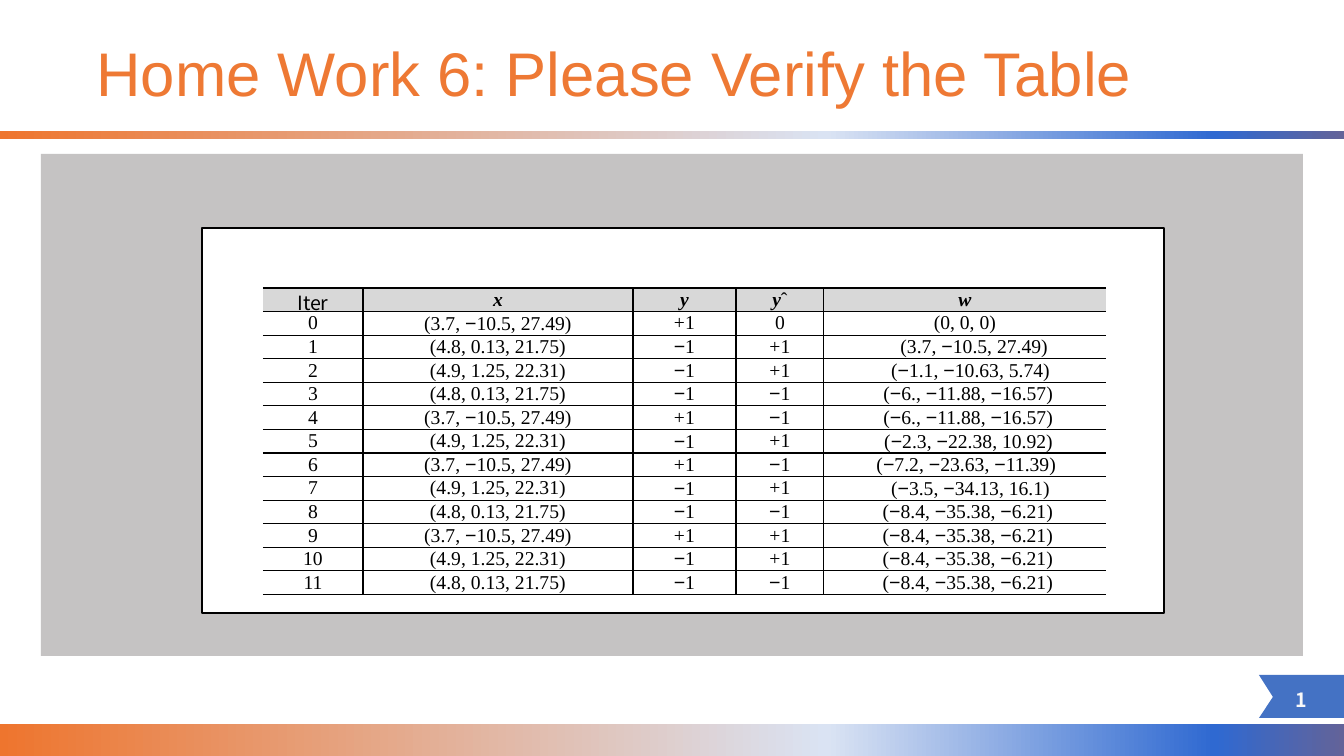
import itertools

import lxml.etree
import pptx
import pptx.dml.color
import pptx.enum.shapes
import pptx.enum.text
import pptx.oxml.ns
import pptx.util

PX = 12192000 / 1344
ALIGN = pptx.enum.text.PP_ALIGN
MIDDLE = pptx.enum.text.MSO_ANCHOR.MIDDLE
qn = pptx.oxml.ns.qn


def px(n):
    return pptx.util.Emu(round(n * PX))


def rgb(value):
    return pptx.dml.color.RGBColor.from_string(value)


class Deck:
    ORANGE, BLACK, HEADER, FLAG = "EE7934", "000000", "D8D8D8", "4472C4"
    SANS, SERIF, CJK = "Arial", "Times New Roman", "Noto Sans CJK SC"

    def __init__(self):
        self.prs = pptx.Presentation()
        self.prs.slide_width, self.prs.slide_height = px(1344), px(756)
        self.slide = self.prs.slides.add_slide(self.prs.slide_layouts[5])

    def run(self, p, text, color, **font):
        r = p.add_run()
        r.text = text
        r.font.color.rgb = rgb(color)
        for name, value in font.items():
            setattr(r.font, name, value)

    def title(self, box, text):
        s = self.slide.shapes.title
        s.left, s.top, s.width, s.height = map(px, box)
        s.text_frame.vertical_anchor = MIDDLE
        p = s.text_frame.paragraphs[0]
        p.alignment, p.line_spacing = ALIGN.CENTER, 0.9
        self.run(p, text, self.ORANGE, name=self.SANS, size=pptx.util.Pt(44))

    def rect(self, box, fill=None, line=None):
        s = self.slide.shapes.add_shape(
            pptx.enum.shapes.MSO_SHAPE.RECTANGLE, *map(px, box))
        s.shadow.inherit = False
        if fill:
            s.fill.solid()
            s.fill.fore_color.rgb = rgb(fill)
        if line:
            s.line.color.rgb = rgb(line)
            s.line.width = pptx.util.Pt(1)
        else:
            s.line.fill.background()
        return s

    def gradient(self, box, stops):
        s = self.rect(box)
        s.fill.gradient()
        s.fill.gradient_angle = 180
        gs_list = s.element.find(".//" + qn("a:gsLst"))
        for gs in list(gs_list):
            gs_list.remove(gs)
        for pos, color in stops:
            gs = lxml.etree.SubElement(gs_list, qn("a:gs"), pos=str(pos * 1000))
            lxml.etree.SubElement(gs, qn("a:srgbClr"), val=color)

    def stripe(self, top, height):
        self.gradient((0, top, 827, height), [(0, "DAE3F3"), (100, "EE752E")])
        self.gradient((827, top, 517, height),
                      [(0, "636399"), (25, "2F69D1"), (100, "DAE3F3")])

    def outline(self, points, fill):
        builder = self.slide.shapes.build_freeform(*points[0], scale=PX)
        builder.add_line_segments(points[1:], close=True)
        s = builder.convert_to_shape()
        s.shadow.inherit = False
        s.fill.solid()
        s.fill.fore_color.rgb = rgb(fill)
        s.line.fill.background()

    def text(self, box, text, color, **font):
        tf = self.slide.shapes.add_textbox(*map(px, box)).text_frame
        tf.word_wrap = True
        p = tf.paragraphs[0]
        p.alignment = ALIGN.CENTER
        self.run(p, text, color, **font)

    def borders(self, cell, hidden):
        tc_pr = cell._tc.get_or_add_tcPr()
        for side in ("lnL", "lnR", "lnT", "lnB"):
            ln = lxml.etree.SubElement(tc_pr, qn("a:" + side), w="12700")
            if side in hidden:
                lxml.etree.SubElement(ln, qn("a:noFill"))
            else:
                fill = lxml.etree.SubElement(ln, qn("a:solidFill"))
                lxml.etree.SubElement(fill, qn("a:srgbClr"), val=self.BLACK)

    def cell(self, cell, text, header, hidden, right=None):
        self.borders(cell, hidden)
        for side in ("left", "right", "top", "bottom"):
            setattr(cell, "margin_" + side, 0)
        cell.vertical_anchor = MIDDLE
        if header:
            cell.fill.solid()
            cell.fill.fore_color.rgb = rgb(self.HEADER)
        else:
            cell.fill.background()
        p = cell.text_frame.paragraphs[0]
        p.alignment = ALIGN.CENTER
        if right:
            p.alignment = ALIGN.RIGHT
            cell.margin_right = px(right)
        p.space_before = pptx.util.Pt(2.6 if header or "−" in text else 3.1)
        # Minus signs and the hat are set apart from the other characters
        for mark, chars in itertools.groupby(text, lambda c: c in "−ˆ"):
            part = "".join(chars)
            strong = header and text != "Iter" and not mark
            name = self.CJK if text == "Iter" else self.SANS if part == "−" else self.SERIF
            self.run(p, part, self.BLACK, name=name, size=pptx.util.Pt(14),
                     bold=strong, italic=strong)

    def table(self, left, top, widths, height, rows, insets):
        table = self.slide.shapes.add_table(
            len(rows), len(widths), px(left), px(top),
            px(sum(widths)), px(height * len(rows))).table
        table.first_row = table.horz_banding = False
        last = len(widths) - 1
        for column, width in zip(table.columns, widths):
            column.width = px(width)
        for i, row in enumerate(rows):
            for j, text in enumerate(row):
                hidden = {0: ["lnL"], last: ["lnR"]}.get(j, [])
                self.cell(table.cell(i, j), text, i == 0, hidden,
                          insets.get(i) if j == last else None)


# Sample points, cycled through by the iterations
A, B, C = "(3.7, −10.5, 27.49)", "(4.8, 0.13, 21.75)", "(4.9, 1.25, 22.31)"
FINAL = "(−8.4, −35.38, −6.21)"
STEPS = [
    (A, "+1", "0", "(0, 0, 0)"),
    (B, "−1", "+1", A),
    (C, "−1", "+1", "(−1.1, −10.63, 5.74)"),
    (B, "−1", "−1", "(−6., −11.88, −16.57)"),
    (A, "+1", "−1", "(−6., −11.88, −16.57)"),
    (C, "−1", "+1", "(−2.3, −22.38, 10.92)"),
    (A, "+1", "−1", "(−7.2, −23.63, −11.39)"),
    (C, "−1", "+1", "(−3.5, −34.13, 16.1)"),
    (B, "−1", "−1", FINAL),
    (A, "+1", "+1", FINAL),
    (C, "−1", "+1", FINAL),
    (B, "−1", "−1", FINAL),
]


def main():
    deck = Deck()

    # Stripes, page flag and page number
    deck.stripe(724, 32)
    deck.outline([(1259, 718), (1273, 697), (1259, 675), (1344, 675), (1344, 718)],
                 deck.FLAG)
    deck.text((1267, 683, 69, 34), "1", "F8F8F8", name=deck.CJK,
              size=pptx.util.Pt(14), bold=True)
    deck.stripe(131, 8)

    # Grey panel and white frame
    deck.rect((41, 154, 1262, 502), "C5C3C3")
    deck.rect((202, 228, 962, 385), "FFFFFF", deck.BLACK)

    deck.title((35, 19, 1159, 116), "Home Work 6: Please Verify the Table")

    # Iteration table, with the right inset of each weight vector
    rows = [("Iter", "x", "y", "yˆ", "w")]
    rows += [(str(n), *step) for n, step in enumerate(STEPS)]
    insets = {i: 53 for i in range(2, len(rows))} | {2: 58, 3: 56, 7: 50, 8: 56}
    deck.table(263, 288, [100, 270, 103, 88, 282], 20, rows, insets)

    deck.prs.save("out.pptx")


if __name__ == "__main__":
    main()
